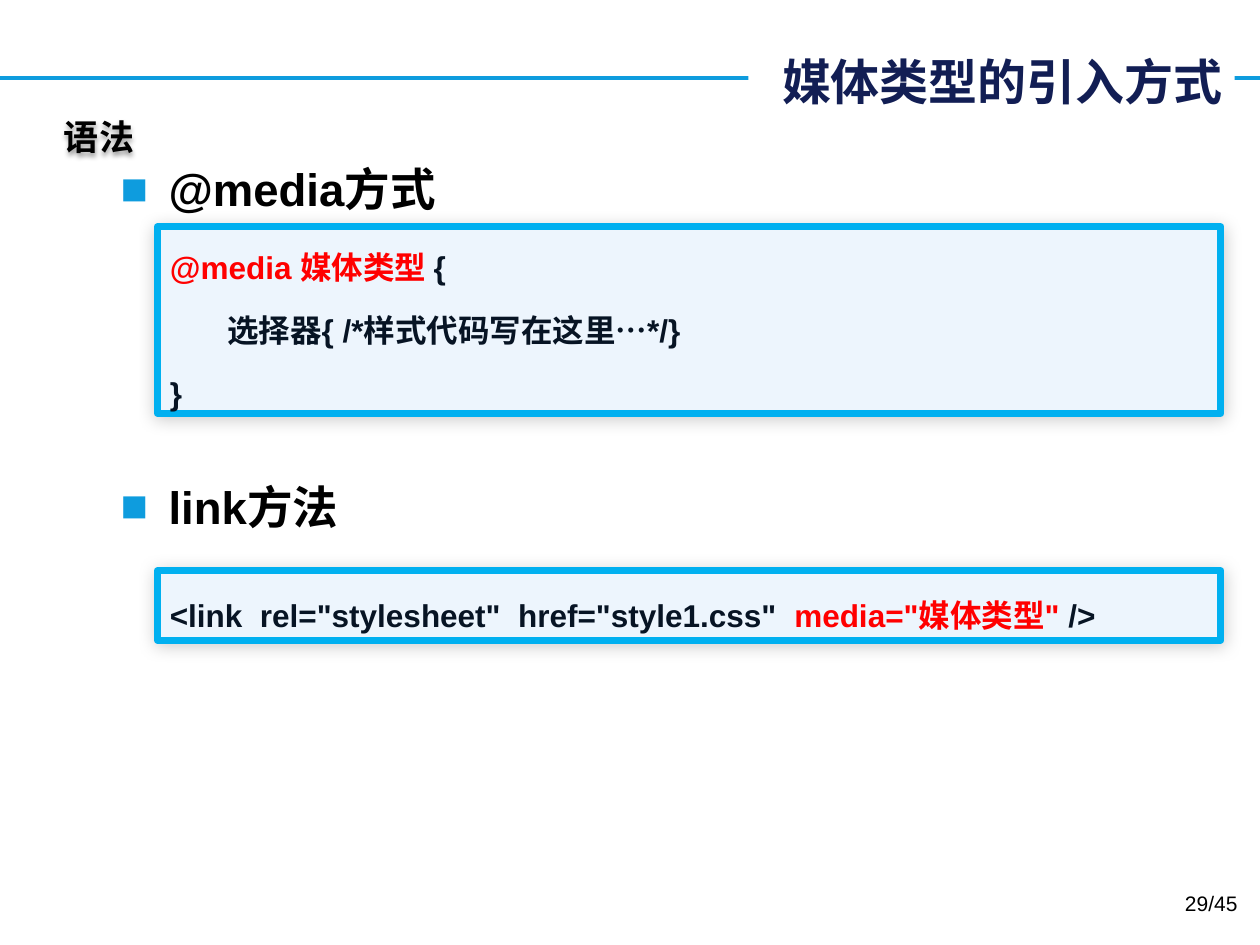
from lxml import etree
from pptx import Presentation
from pptx.dml.color import RGBColor
from pptx.enum.shapes import MSO_CONNECTOR, MSO_SHAPE
from pptx.enum.text import MSO_ANCHOR, PP_ALIGN
from pptx.oxml.ns import qn
from pptx.util import Inches, Pt

LEFT, RIGHT = PP_ALIGN.LEFT, PP_ALIGN.RIGHT
TOP, MIDDLE = MSO_ANCHOR.TOP, MSO_ANCHOR.MIDDLE
BLUE = RGBColor(0x0E, 0x9C, 0xDE)
BORDER = RGBColor(0x00, 0xB0, 0xF0)
PANEL = RGBColor(0xED, 0xF5, 0xFD)
NAVY = RGBColor(0x12, 0x1E, 0x54)
INK = RGBColor(0x07, 0x14, 0x24)
RED = RGBColor(0xFF, 0x00, 0x00)
BLACK = RGBColor(0x00, 0x00, 0x00)
WHITE = RGBColor(0xFF, 0xFF, 0xFF)
LATIN, CHINESE = "Arial", "Noto Sans CJK SC"

WIDTH, HEIGHT = 10, 7.5
RULE_Y = 0.62
HEADING_LEFT, HEADING_WIDTH, HEADING_HEIGHT = 0.86, 8.36, 0.55
CODE_LEFT, CODE_WIDTH = 1.25, 8.44
HANGING = 0.38

TITLE = "媒体类型的引入方式"
LABEL = "语法"
PAGE_NUMBER = "29/45"
SECTIONS = [
    {"heading": "@media方式", "heading_top": 1.23, "code_top": 1.8, "code_height": 1.48,
     "code": [
         [("@media 媒体类型 ", RED), ("{", INK)],
         [("        选择器{ /*样式代码写在这里…*/}", INK)],
         [("}", INK)],
     ]},
    {"heading": "link方法", "heading_top": 3.75, "code_top": 4.53, "code_height": 0.55,
     "code": [
         [('<link  rel="stylesheet"  href="style1.css"  ', INK),
          ('media="媒体类型" ', RED), ("/>", INK)],
     ]},
]


def set_font(para, size, color=None, bold=True, name=LATIN):
    font = para.font
    font.size, font.bold, font.name = Pt(size), bold, name
    if color is not None:
        font.color.rgb = color
    properties = para._p.pPr.find(qn("a:defRPr"))
    etree.SubElement(properties, qn("a:ea"), typeface=CHINESE)


def set_hanging(para):
    properties = para._p.get_or_add_pPr()
    properties.set("marL", str(Inches(HANGING)))
    properties.set("indent", str(-Inches(HANGING)))
    return properties


def add_bullet(para):
    properties = set_hanging(para)
    color = etree.SubElement(properties, qn("a:buClr"))
    etree.SubElement(color, qn("a:srgbClr"), val=str(BLUE))
    etree.SubElement(properties, qn("a:buFont"), typeface=LATIN)
    etree.SubElement(properties, qn("a:buChar"), char="■")


def add_shadow(shape, blur, distance, opacity):
    effects = etree.SubElement(shape._element.spPr, qn("a:effectLst"))
    shadow = etree.SubElement(effects, qn("a:outerShdw"), blurRad=str(Pt(blur)),
                              dist=str(Pt(distance)), dir="5400000", rotWithShape="0")
    color = etree.SubElement(shadow, qn("a:srgbClr"), val=str(BLACK))
    etree.SubElement(color, qn("a:alpha"), val=str(opacity * 1000))


def add_text(page, text, place, align=LEFT, anchor=TOP, wrap=True):
    box = page.shapes.add_textbox(*map(Inches, place))
    frame = box.text_frame
    frame.word_wrap, frame.vertical_anchor = wrap, anchor
    para = frame.paragraphs[0]
    para.text, para.alignment = text, align
    return box, para


def add_code(page, lines, top, height):
    panel = page.shapes.add_shape(MSO_SHAPE.ROUNDED_RECTANGLE, Inches(CODE_LEFT),
                                  Inches(top), Inches(CODE_WIDTH), Inches(height))
    panel.adjustments[0] = 0
    panel.fill.solid()
    panel.fill.fore_color.rgb = PANEL
    panel.line.color.rgb, panel.line.width = BORDER, Pt(4)
    add_shadow(panel, 10, 1, 20)
    frame = panel.text_frame
    frame.word_wrap, frame.vertical_anchor = True, MIDDLE
    for index, pieces in enumerate(lines):
        para = frame.add_paragraph() if index else frame.paragraphs[0]
        set_hanging(para)
        para.alignment, para.line_spacing = LEFT, 1.5
        para.space_before = Pt(3.6 if index else 0)
        set_font(para, 18)
        for text, color in pieces:
            span = para.add_run()
            span.text, span.font.color.rgb = text, color


def main():
    deck = Presentation()
    deck.slide_width, deck.slide_height = Inches(WIDTH), Inches(HEIGHT)
    page = deck.slides.add_slide(deck.slide_layouts[6])

    rule = page.shapes.add_connector(MSO_CONNECTOR.STRAIGHT, 0, Inches(RULE_Y),
                                     Inches(WIDTH), Inches(RULE_Y))
    rule.line.color.rgb, rule.line.width = BLUE, Pt(2.25)
    etree.SubElement(rule._element.spPr, qn("a:effectLst"))

    title, para = add_text(page, TITLE, (5.94, 0.21, 3.86, 0.87), RIGHT, MIDDLE)
    title.fill.solid()
    title.fill.fore_color.rgb = WHITE
    set_font(para, 28, NAVY, name=CHINESE)

    for section in SECTIONS:
        place = HEADING_LEFT, section["heading_top"], HEADING_WIDTH, HEADING_HEIGHT
        para = add_text(page, section["heading"], place)[1]
        add_bullet(para)
        set_font(para, 26, BLACK)
        add_code(page, section["code"], section["code_top"], section["code_height"])

    label, para = add_text(page, LABEL, (0.41, 0.86, 0.77, 0.44), anchor=MIDDLE, wrap=False)
    set_font(para, 20, BLACK, name=CHINESE)
    add_shadow(label, 3, 2, 40)

    para = add_text(page, PAGE_NUMBER, (7.59, 7.02, 2.33, 0.4), RIGHT)[1]
    set_font(para, 12, BLACK, bold=False)

    deck.save("out.pptx")


if __name__ == "__main__":
    main()
